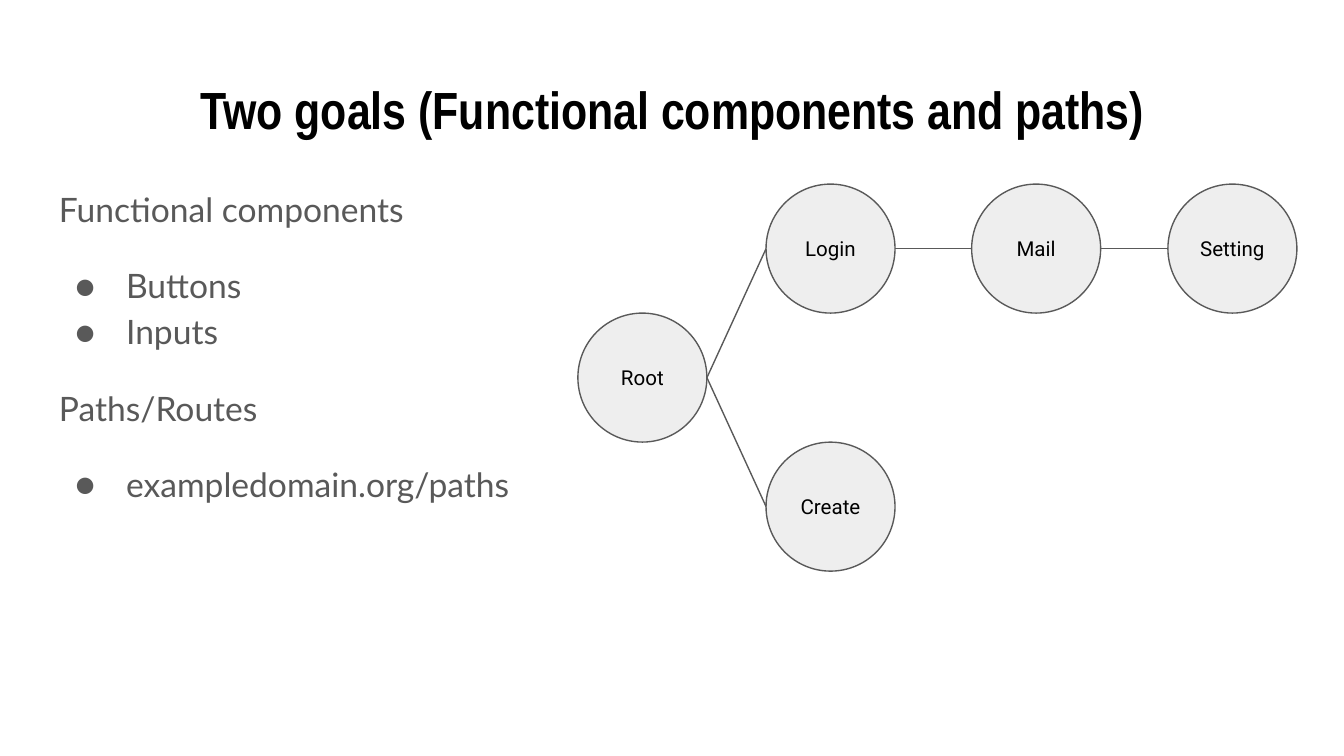
from dataclasses import dataclass

from lxml.etree import SubElement
from pptx import Presentation
from pptx.dml.color import RGBColor as RGB
from pptx.enum.shapes import MSO_CONNECTOR as Connector, MSO_SHAPE as Shape
from pptx.enum.text import MSO_ANCHOR as Anchor, PP_ALIGN as Align
from pptx.oxml.ns import qn
from pptx.util import Inches, Pt


@dataclass(frozen=True)
class Theme:
    background: RGB = RGB(0xFF, 0xFF, 0xFF)
    heading: RGB = RGB(0, 0, 0)
    body: RGB = RGB(0x59, 0x59, 0x59)
    node: RGB = RGB(0xEE, 0xEE, 0xEE)
    heading_font: str = "Arial Narrow"
    body_font: str = "Lato"
    node_font: str = "Roboto"
    heading_size: int = 28
    body_size: int = 18
    node_size: int = 11
    rule: float = 0.75


class GoalsSlide:
    def __init__(self, slide, theme):
        self.slide = slide
        self.theme = theme
        slide.background.fill.solid()
        slide.background.fill.fore_color.rgb = theme.background

    def style(self, paragraph, font, size, color, bold=False):
        for run in paragraph.runs:
            run.font.name = font
            run.font.size = Pt(size)
            run.font.color.rgb = color
            run.font.bold = bold

    def frame(self, shape, anchor, wrap=True):
        frame = shape.text_frame
        frame.margin_left = frame.margin_right = Inches(0.1)
        frame.margin_top = frame.margin_bottom = Inches(0.1)
        frame.vertical_anchor = anchor
        frame.word_wrap = wrap
        return frame

    def text_box(self, left, top, width, height, anchor):
        box = self.slide.shapes.add_textbox(
            Inches(left), Inches(top), Inches(width), Inches(height))
        return self.frame(box, anchor)

    def title(self, text, *area):
        frame = self.text_box(*area, Anchor.MIDDLE)
        frame.text = text
        heading = frame.paragraphs[0]
        heading.alignment = Align.CENTER
        self.style(heading, self.theme.heading_font, self.theme.heading_size,
                   self.theme.heading, bold=True)

    def bullet(self, paragraph):
        properties = paragraph._p.get_or_add_pPr()
        properties.set("marL", str(Inches(0.5)))
        properties.set("indent", str(Inches(-0.38)))
        color = SubElement(properties, qn("a:buClr"))
        SubElement(color, qn("a:srgbClr"), val=str(self.theme.body))
        SubElement(properties, qn("a:buFont"), typeface=self.theme.body_font)
        SubElement(properties, qn("a:buChar"), char="●")

    def outline(self, sections, *area):
        frame = self.text_box(*area, Anchor.TOP)
        lines = []
        for topic, items in sections.items():
            lines.append((topic, False, bool(lines)))
            lines += [(item, True, item == items[0]) for item in items]
        frame.text = "\n".join(text for text, _, _ in lines)
        for paragraph, (_, bulleted, spaced) in zip(frame.paragraphs, lines):
            if bulleted:
                self.bullet(paragraph)
            paragraph.line_spacing = 1.15
            paragraph.space_before = Pt(16 if spaced else 0)
            self.style(paragraph, self.theme.body_font, self.theme.body_size,
                       self.theme.body)

    def node(self, label, left, top, diameter):
        circle = self.slide.shapes.add_shape(
            Shape.OVAL, Inches(left), Inches(top),
            Inches(diameter), Inches(diameter))
        circle.shadow.inherit = False
        circle.fill.solid()
        circle.fill.fore_color.rgb = self.theme.node
        circle.line.color.rgb = self.theme.body
        circle.line.width = Pt(self.theme.rule)
        frame = self.frame(circle, Anchor.MIDDLE, wrap=False)
        frame.text = label
        frame.paragraphs[0].alignment = Align.CENTER
        self.style(frame.paragraphs[0], self.theme.node_font,
                   self.theme.node_size, self.theme.heading)
        return circle

    def link(self, start, end):
        edge = self.slide.shapes.add_connector(
            Connector.STRAIGHT,
            start.left + start.width, start.top + start.height // 2,
            end.left, end.top + end.height // 2)
        edge.line.color.rgb = self.theme.body
        edge.line.width = Pt(self.theme.rule)
        SubElement(edge._element.spPr, qn("a:effectLst"))


def main():
    deck = Presentation()
    deck.slide_width = Inches(10)
    deck.slide_height = deck.slide_width * 9 // 16
    goals = GoalsSlide(deck.slides.add_slide(deck.slide_layouts[6]), Theme())

    goals.outline({
        "Functional components": ["Buttons", "Inputs"],
        "Paths/Routes": ["exampledomain.org/paths"],
    }, 0.34, 1.26, 9.32, 3.74)
    goals.title("Two goals (Functional components and paths)",
                0.34, 0.49, 9.32, 0.63)

    diameter, first_row = 0.96, 1.37
    places = {
        "Root": (4.3, 1),
        "Login": (5.7, 0),
        "Create": (5.7, 2),
        "Mail": (7.23, 0),
        "Setting": (8.69, 0),
    }
    pages = {
        label: goals.node(label, left, first_row + row * diameter, diameter)
        for label, (left, row) in places.items()
    }
    for start, end in [("Root", "Login"), ("Root", "Create"),
                       ("Login", "Mail"), ("Mail", "Setting")]:
        goals.link(pages[start], pages[end])

    deck.save("out.pptx")


if __name__ == "__main__":
    main()
